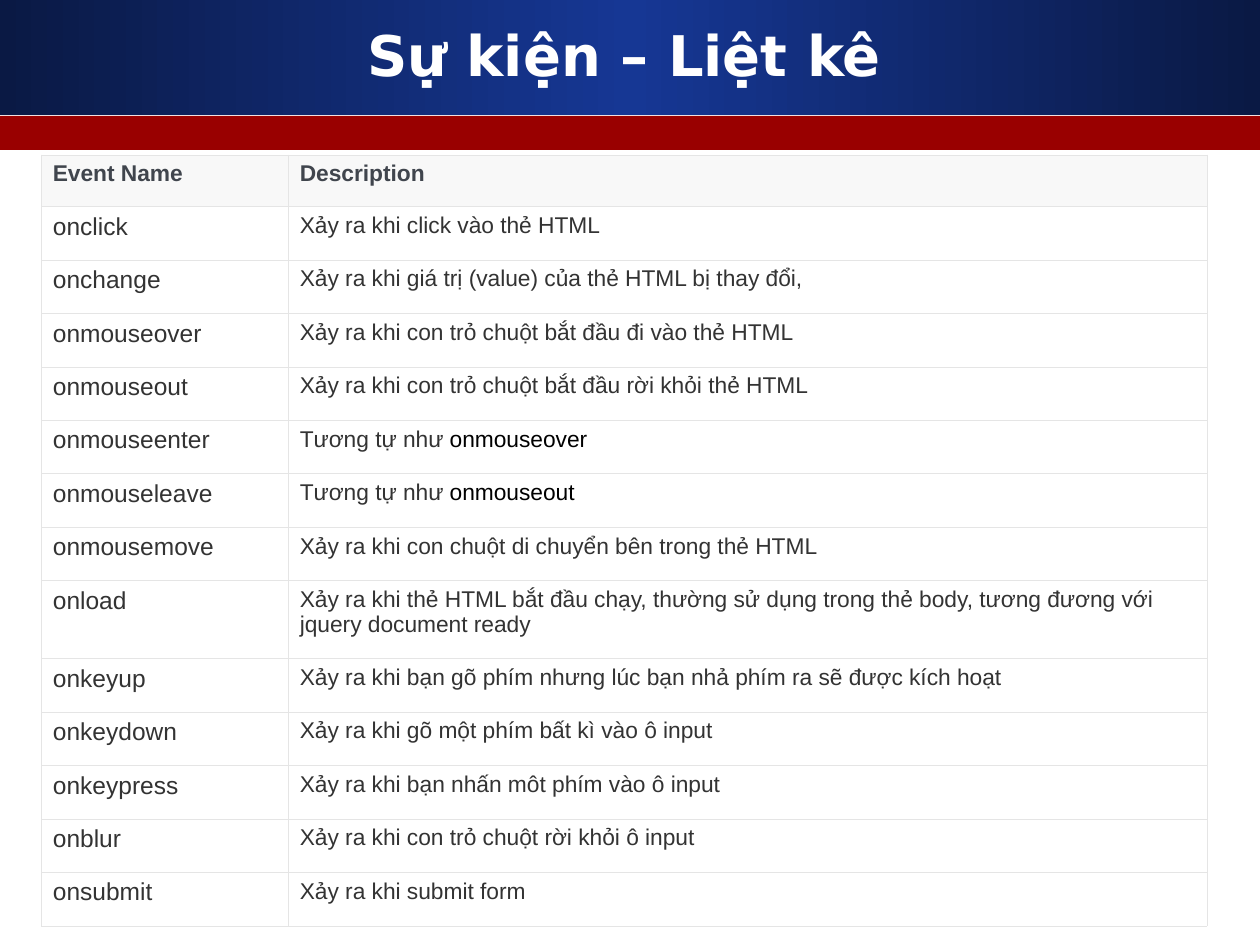
from copy import deepcopy

from lxml import etree
from pptx import Presentation
from pptx.dml.color import RGBColor
from pptx.enum.shapes import MSO_SHAPE
from pptx.enum.text import MSO_ANCHOR, PP_ALIGN
from pptx.oxml.ns import qn
from pptx.util import Inches, Pt

RECT = MSO_SHAPE.RECTANGLE
MIDDLE = MSO_ANCHOR.MIDDLE
CENTER = PP_ALIGN.CENTER

TITLE = "Sự kiện – Liệt kê"
HEADER = ("Event Name", "Description")
# event, description, and the event name that closes the description
EVENTS = [
    ("onclick", "Xảy ra khi click vào thẻ HTML", ""),
    ("onchange", "Xảy ra khi giá trị (value) của thẻ HTML bị thay đổi,", ""),
    ("onmouseover", "Xảy ra khi con trỏ chuột bắt đầu đi vào thẻ HTML", ""),
    ("onmouseout", "Xảy ra khi con trỏ chuột bắt đầu rời khỏi thẻ HTML", ""),
    ("onmouseenter", "Tương tự như ", "onmouseover"),
    ("onmouseleave", "Tương tự như ", "onmouseout"),
    ("onmousemove", "Xảy ra khi con chuột di chuyển bên trong thẻ HTML", ""),
    ("onload", "Xảy ra khi thẻ HTML bắt đầu chạy, thường sử dụng trong thẻ body, "
               "tương đương với jquery document ready", ""),
    ("onkeyup", "Xảy ra khi bạn gõ phím nhưng lúc bạn nhả phím ra sẽ được kích hoạt", ""),
    ("onkeydown", "Xảy ra khi gõ một phím bất kì vào ô input", ""),
    ("onkeypress", "Xảy ra khi bạn nhấn môt phím vào ô input", ""),
    ("onblur", "Xảy ra khi con trỏ chuột rời khỏi ô input", ""),
    ("onsubmit", "Xảy ra khi submit form", ""),
]
COL_WIDTHS = (1.96, 7.29)
TABLE_HEIGHT, HEADER_HEIGHT, TALL_HEIGHT = 6.12, 0.41, 0.62
ROW_HEIGHT = (TABLE_HEIGHT - HEADER_HEIGHT - TALL_HEIGHT) / (len(EVENTS) - 1)
BAND_STOPS = ((0, "0A1944"), (0.5, "163794"), (1, "0A1944"))


def rgb(color):
    return RGBColor.from_string(color)


def style(r, size, color, font="Arial", bold=False):
    r.font.size, r.font.name, r.font.bold = Pt(size), font, bold
    r.font.color.rgb = rgb(color)


def add_band(s, top, height):
    band = s.shapes.add_shape(RECT, 0, Inches(top), Inches(10), Inches(height))
    band.shadow.inherit = False
    band.line.fill.background()
    return band


def set_gradient(fill, stops):
    """Fill left to right with any number of (position, colour) stops."""
    fill.gradient()
    fill.gradient_angle = 0
    first = fill.gradient_stops[0]._gs
    for _ in range(len(stops) - len(fill.gradient_stops)):
        first.addnext(deepcopy(first))
    for stop, (position, color) in zip(fill.gradient_stops, stops):
        stop.position = position
        stop.color.rgb = rgb(color)


def set_borders(cell, color, width):
    tcPr = cell._tc.get_or_add_tcPr()
    for side in ("lnL", "lnR", "lnT", "lnB"):
        ln = etree.SubElement(tcPr, qn("a:" + side), w=str(Pt(width)))
        solid = etree.SubElement(ln, qn("a:solidFill"))
        etree.SubElement(solid, qn("a:srgbClr"), val=color)


def fill_cell(cell, text, size, color, fill, bold=False):
    set_borders(cell, "E5E5E5", 0.34)
    cell.fill.solid()
    cell.fill.fore_color.rgb = rgb(fill)
    cell.margin_left = cell.margin_right = Inches(0.09)
    cell.margin_top = cell.margin_bottom = Inches(0.05)
    p = cell.text_frame.paragraphs[0]
    p.text = text
    p.space_after = Pt(15)
    style(p.runs[0], size, color, bold=bold)
    return p


prs = Presentation()
prs.slide_width, prs.slide_height = Inches(10), Inches(7.5)
s = prs.slides.add_slide(prs.slide_layouts[6])

set_gradient(add_band(s, 0, 0.91).fill, BAND_STOPS)
red = add_band(s, 0.92, 0.27).fill
red.solid()
red.fore_color.rgb = rgb("990000")

tf = s.shapes.add_textbox(Inches(0.33), Inches(0.17), Inches(9.25), Inches(0.62)).text_frame
tf.word_wrap = True
tf.vertical_anchor = MIDDLE
p = tf.paragraphs[0]
p.text = TITLE
p.alignment = CENTER
p.line_spacing = 0.8
style(p.runs[0], 32, "FFFFFF", "DejaVu Sans", True)

table = s.shapes.add_table(len(EVENTS) + 1, len(HEADER), Inches(0.33), Inches(1.23),
                           Inches(sum(COL_WIDTHS)), Inches(TABLE_HEIGHT)).table
table.first_row = table.horz_banding = False
for col, width in zip(table.columns, COL_WIDTHS):
    col.width = Inches(width)

table.rows[0].height = Inches(HEADER_HEIGHT)
for cell, text in zip(table.rows[0].cells, HEADER):
    fill_cell(cell, text, 13, "40454D", "F8F8F8", True)

for i, (event, description, same_as) in enumerate(EVENTS, 1):
    table.rows[i].height = Inches(TALL_HEIGHT if event == "onload" else ROW_HEIGHT)
    fill_cell(table.cell(i, 0), event, 14, "333333", "FFFFFF")
    p = fill_cell(table.cell(i, 1), description, 13, "333333", "FFFFFF")
    if same_as:
        r = p.add_run()
        r.text = same_as
        style(r, 13, "000000")

prs.save("out.pptx")
